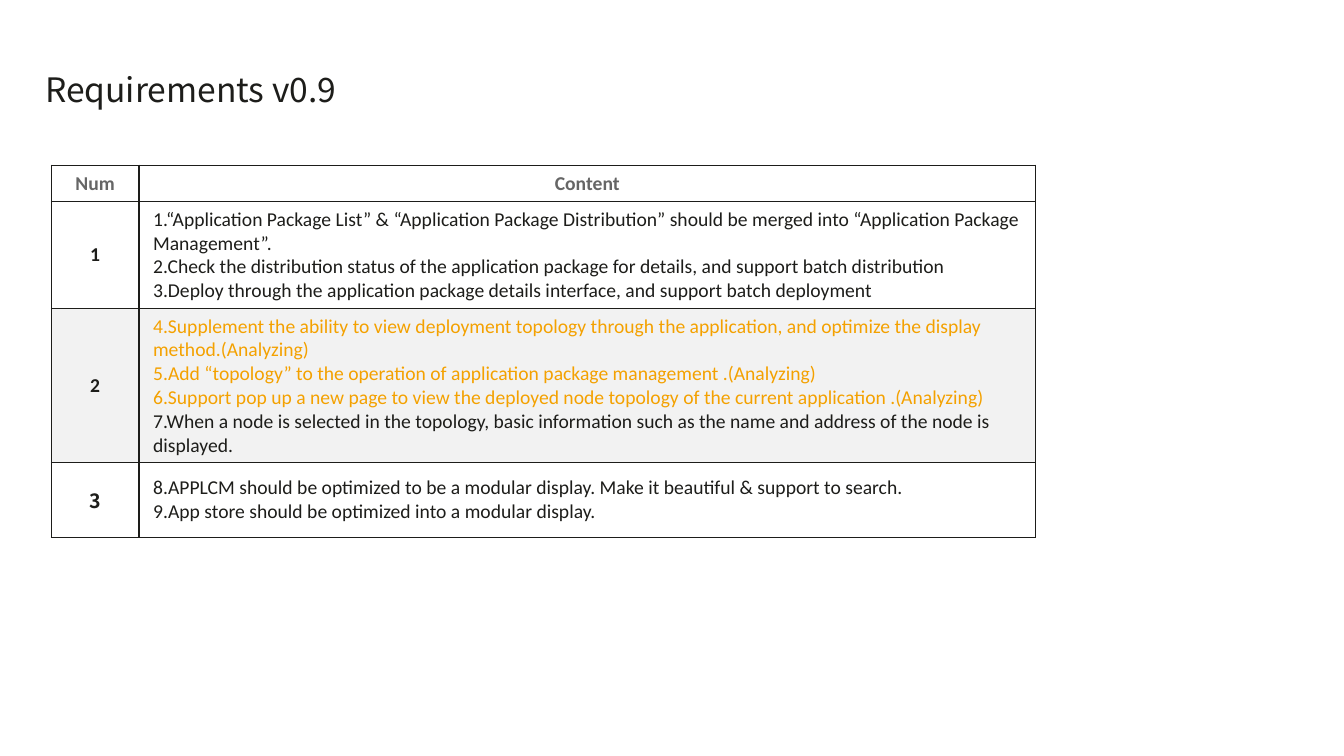
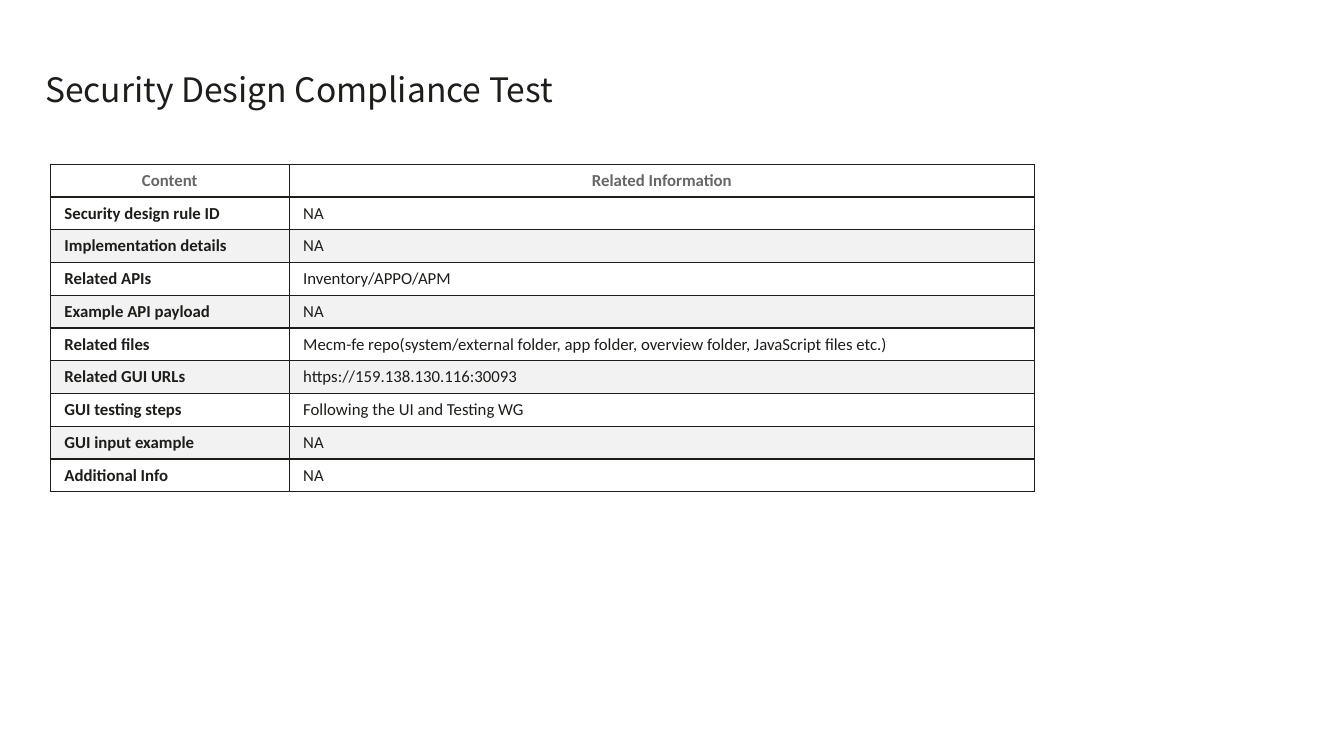
from dataclasses import dataclass
from pptx import Presentation
from pptx.dml.color import RGBColor
from pptx.enum.text import MSO_ANCHOR, MSO_AUTO_SIZE, PP_ALIGN
from pptx.oxml import parse_xml
from pptx.oxml.ns import nsdecls
from pptx.util import Pt


@dataclass(frozen=True)
class Theme:
    ink: str = "1D1D1A"
    head: str = "666666"
    amber: str = "F4A100"
    white: str = "FFFFFF"
    band: str = "F2F2F2"
    body_font: str = "Calibri"
    title_font: str = "Noto Sans CJK SC"
    title_size: int = 24
    title_lead: float = 34.4
    border: int = 1


THEME = Theme()
SCALE = 9144
PAGE = (1334, 750)
TITLE_AT = (35, 56)
TITLE_HIGH = 58
PAD_X, PAD_Y = 14, 6
OPEN_MARK = "(Analyzing)"

SLIDES = [
    {
        "title": "Requirements v0.9",
        "title_wide": 318,
        "at": (51, 164),
        "cols": [87, 890],
        "rows": [36, 106, 153, 74],
        "size": 14,
        "key_align": PP_ALIGN.CENTER,
        "key_fonts": {"3": THEME.title_font},
        "cells": [
            ("Num", ["Content"]),
            ("1", [
                "1.“Application Package List” & “Application Package Distribution” should be merged into “Application Package Management”.",
                "2.Check the distribution status of the application package for details, and support batch distribution",
                "3.Deploy through the application package details interface, and support batch deployment",
            ]),
            ("2", [
                "4.Supplement the ability to view deployment topology through the application, and optimize the display method.(Analyzing)",
                "5.Add “topology” to the operation of application package management .(Analyzing)",
                "6.Support pop up a new page to view the deployed node topology of the current application .(Analyzing)",
                "7.When a node is selected in the topology, basic information such as the name and address of the node is displayed.",
            ]),
            ("3", [
                "8.APPLCM should be optimized to be a modular display. Make it beautiful & support to search.",
                "9.App store should be optimized into a modular display.",
            ]),
        ],
    },
    {
        "title": "Security Design Compliance Test",
        "title_wide": 543,
        "at": (50, 163),
        "cols": [237, 740],
        "rows": [32.5] * 10,
        "size": 12,
        "key_align": PP_ALIGN.LEFT,
        "key_fonts": {},
        "cells": [
            ("Content", ["Related Information"]),
            ("Security design rule ID", ["NA"]),
            ("Implementation details", ["NA"]),
            ("Related APIs", ["Inventory/APPO/APM"]),
            ("Example API payload", ["NA"]),
            ("Related files", ["Mecm-fe repo(system/external folder, app folder, overview folder, JavaScript files etc.)"]),
            ("Related GUI URLs", ["https://159.138.130.116:30093"]),
            ("GUI testing steps", ["Following the UI and Testing WG"]),
            ("GUI input example", ["NA"]),
            ("Additional Info", ["NA"]),
        ],
    },
]


def px(*sizes):
    return [round(size * SCALE) for size in sizes]


def write(frame, lines, *, size, font=THEME.body_font, color=THEME.ink,
          bold=False, align=PP_ALIGN.LEFT, lead=None):
    for index, line in enumerate(lines):
        para = frame.add_paragraph() if index else frame.paragraphs[0]
        para.alignment = align
        if lead:
            para.line_spacing = Pt(lead)
        run = para.add_run()
        run.text = line
        run.font.size = Pt(size)
        run.font.name = font
        run.font.bold = bold
        shade = THEME.amber if line.endswith(OPEN_MARK) else color
        run.font.color.rgb = RGBColor.from_string(shade)


def add_title(slide, data):
    box = slide.shapes.add_textbox(*px(*TITLE_AT, data["title_wide"], TITLE_HIGH))
    frame = box.text_frame
    frame.word_wrap = False
    frame.auto_size = MSO_AUTO_SIZE.SHAPE_TO_FIT_TEXT
    write(frame, [data["title"]], size=THEME.title_size,
          font=THEME.title_font, lead=THEME.title_lead)


def style_cell(cell, fill):
    cell.vertical_anchor = MSO_ANCHOR.MIDDLE
    cell.margin_left, cell.margin_right = px(PAD_X, PAD_X)
    cell.margin_top, cell.margin_bottom = px(PAD_Y, PAD_Y)
    props = cell._tc.get_or_add_tcPr()
    for side in ("lnL", "lnR", "lnT", "lnB"):
        props.append(parse_xml(
            f'<a:{side} {nsdecls("a")} w="{Pt(THEME.border)}"><a:solidFill>'
            f'<a:srgbClr val="{THEME.ink}"/></a:solidFill></a:{side}>'))
    cell.fill.solid()
    cell.fill.fore_color.rgb = RGBColor.from_string(fill)


def add_grid(slide, data):
    cols, rows = data["cols"], data["rows"]
    spot = px(*data["at"], sum(cols), sum(rows))
    table = slide.shapes.add_table(len(rows), len(cols), *spot).table
    table.first_row = table.horz_banding = False
    for col, wide in zip(table.columns, px(*cols)):
        col.width = wide
    for row, high in zip(table.rows, px(*rows)):
        row.height = high
    for index, (key, lines) in enumerate(data["cells"]):
        header = index == 0
        fill = THEME.band if index and index % 2 == 0 else THEME.white
        color = THEME.head if header else THEME.ink
        left, right = table.cell(index, 0), table.cell(index, 1)
        for cell in (left, right):
            style_cell(cell, fill)
        write(left.text_frame, [key], size=data["size"], color=color, bold=True,
              font=data["key_fonts"].get(key, THEME.body_font),
              align=PP_ALIGN.CENTER if header else data["key_align"])
        write(right.text_frame, lines, size=data["size"], color=color, bold=header,
              align=PP_ALIGN.CENTER if header else PP_ALIGN.LEFT)


def main():
    deck = Presentation()
    deck.slide_width, deck.slide_height = px(*PAGE)
    for data in SLIDES:
        slide = deck.slides.add_slide(deck.slide_layouts[6])
        add_title(slide, data)
        add_grid(slide, data)
    deck.save("out.pptx")


if __name__ == "__main__":
    main()
